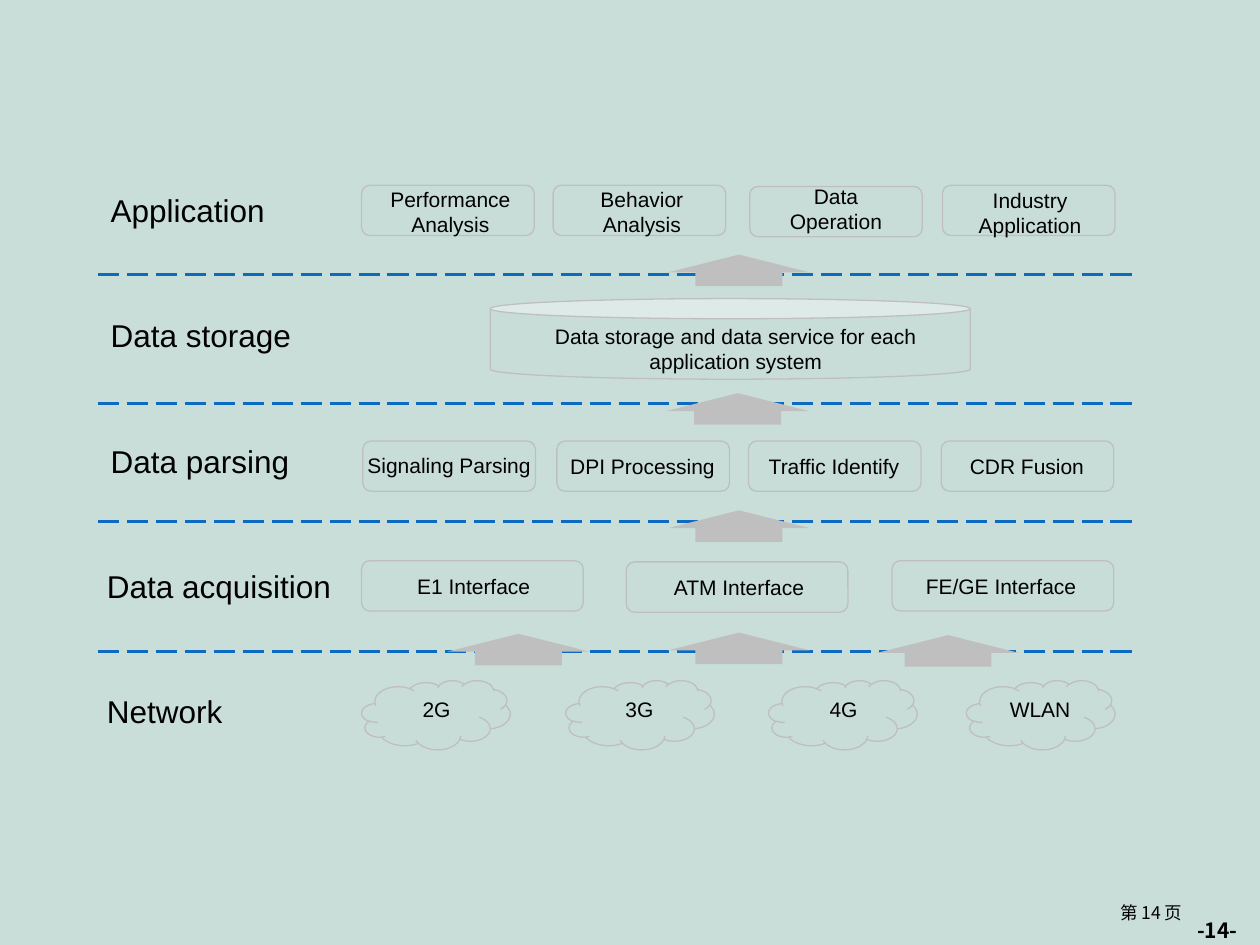
from dataclasses import dataclass
from lxml import etree
from pptx import Presentation
from pptx import util as u
from pptx.dml.color import RGBColor
from pptx.enum import dml, shapes, text
from pptx.oxml import ns

PX = u.Inches(1) // 100


@dataclass(frozen=True)
class Theme:
    background: str = "CADED9"
    box: str = "C8DDD8"
    grey: str = "BFBFBF"
    divider: str = "0C6AC0"
    ink: str = "000000"
    latin: str = "Arial"
    cjk: str = "Noto Sans CJK SC"
    heading: int = 18
    body: int = 12
    small: int = 10


@dataclass(frozen=True)
class Node:
    x: int
    y: int
    label: str
    label_x: int
    label_y: int
    label_w: int


@dataclass(frozen=True)
class Layer:
    kind: shapes.MSO_SHAPE
    w: int
    h: int
    label_h: int
    nodes: tuple[Node, ...]


@dataclass(frozen=True)
class Heading:
    x: int
    y: int
    w: int
    label: str


T = Theme()
S = shapes.MSO_SHAPE
HEADINGS = (
    Heading(78, 147, 157, "Application"),
    Heading(78, 246, 170, "Data storage"),
    Heading(78, 346, 170, "Data parsing"),
    Heading(75, 445, 201, "Data acquisition"),
    Heading(75, 544, 157, "Network"),
)
LAYERS = (
    Layer(S.ROUNDED_RECTANGLE, 137, 40, 50, (
        Node(287, 147, "Performance Analysis", 281, 143, 153),
        Node(439, 147, "Behavior\nAnalysis", 461, 143, 97),
        Node(595, 148, "Data Operation", 615, 141, 97),
        Node(748, 147, "Industry Application", 765, 144, 105),
    )),
    Layer(S.CAN, 381, 64, 50, (
        Node(389, 237, "Data storage and data service for each application system",
             403, 252, 362),
    )),
    Layer(S.ROUNDED_RECTANGLE, 137, 40, 30, (
        Node(288, 350, "Signaling Parsing", 280, 354, 153),
        Node(442, 350, "DPI Processing", 441, 355, 138),
        Node(594, 350, "Traffic Identify", 594, 355, 136),
        Node(747, 350, "CDR Fusion", 754, 355, 122),
    )),
    Layer(S.ROUNDED_RECTANGLE, 176, 40, 30, (
        Node(287, 445, "E1 Interface", 311, 450, 130),
        Node(497, 446, "ATM Interface", 524, 451, 125),
        Node(708, 445, "FE/GE Interface", 715, 450, 159),
    )),
    Layer(S.CLOUD, 118, 55, 30, (
        Node(287, 540, "2G", 315, 548, 63),
        Node(449, 540, "3G", 476, 548, 63),
        Node(610, 540, "4G", 638, 548, 63),
        Node(767, 540, "WLAN", 776, 548, 99),
    )),
)
DIVIDERS = (218, 320, 414, 517)
ARROWS = ((530, 202), (529, 312), (530, 405), (355, 503), (530, 502), (696, 504))


def rgb(value: str) -> RGBColor:
    return RGBColor.from_string(value)


def add_text(s, x: int, y: int, w: int, h: int, label: str, size: int,
             align=text.PP_ALIGN.CENTER, font: str = T.latin, bold: bool = False,
             **frame) -> None:
    tf = s.shapes.add_textbox(x * PX, y * PX, w * PX, h * PX).text_frame
    settings = {"word_wrap": True, "auto_size": text.MSO_AUTO_SIZE.SHAPE_TO_FIT_TEXT}
    for name, value in (settings | frame).items():
        setattr(tf, name, value)
    tf.text = label
    for p in tf.paragraphs:
        p.alignment = align
        for r in p.runs:
            for name, value in {"name": font, "size": u.Pt(size), "bold": bold}.items():
                setattr(r.font, name, value)
            r.font.color.rgb = rgb(T.ink)
            etree.SubElement(r.font._element, ns.qn("a:ea"), typeface=font)


def add_shape(s, kind: shapes.MSO_SHAPE, x: int, y: int, w: int, h: int,
              fill: str, line: str | None = None):
    sp = s.shapes.add_shape(kind, x * PX, y * PX, w * PX, h * PX)
    sp.shadow.inherit = False
    sp.fill.solid()
    sp.fill.fore_color.rgb = rgb(fill)
    if line:
        sp.line.color.rgb = rgb(line)
        sp.line.width = u.Pt(0.75)
    else:
        sp.line.fill.background()
    return sp


def add_divider(s, y: int) -> None:
    c = s.shapes.add_connector(shapes.MSO_CONNECTOR.STRAIGHT,
                               78 * PX, y * PX, 902 * PX, y * PX)
    c.line.color.rgb = rgb(T.divider)
    for name, value in {"width": u.Pt(1.5),
                        "dash_style": dml.MSO_LINE.LONG_DASH}.items():
        setattr(c.line, name, value)
    etree.SubElement(c._element.spPr, ns.qn("a:effectLst"))


def add_arrow(s, x: int, y: int) -> None:
    sp = add_shape(s, S.UP_ARROW, x, y, 113, 25, T.grey)
    sp.adjustments[0] = 0.61
    sp.adjustments[1] = 0.57


def add_layer(s, layer: Layer) -> None:
    for n in layer.nodes:
        add_shape(s, layer.kind, n.x, n.y, layer.w, layer.h, T.box, T.grey)
        add_text(s, n.label_x, n.label_y, n.label_w, layer.label_h, n.label, T.body)


def main() -> None:
    prs = Presentation()
    prs.slide_width, prs.slide_height = 1000 * PX, 750 * PX
    s = prs.slides.add_slide(prs.slide_layouts[6])
    s.background.fill.solid()
    s.background.fill.fore_color.rgb = rgb(T.background)
    for y in DIVIDERS:
        add_divider(s, y)
    for layer in LAYERS:
        add_layer(s, layer)
    for x, y in ARROWS:
        add_arrow(s, x, y)
    for h in HEADINGS:
        add_text(s, h.x, h.y, h.w, 40, h.label, T.heading, text.PP_ALIGN.LEFT)
    add_text(s, 715, 711, 233, 23, "第 14 页", T.small, text.PP_ALIGN.RIGHT, T.cjk,
             auto_size=text.MSO_AUTO_SIZE.NONE)
    add_text(s, 839, 723, 153, 30, "-14-", T.body, text.PP_ALIGN.RIGHT, T.cjk, True,
             vertical_anchor=text.MSO_ANCHOR.BOTTOM)
    prs.save("out.pptx")


if __name__ == "__main__":
    main()
